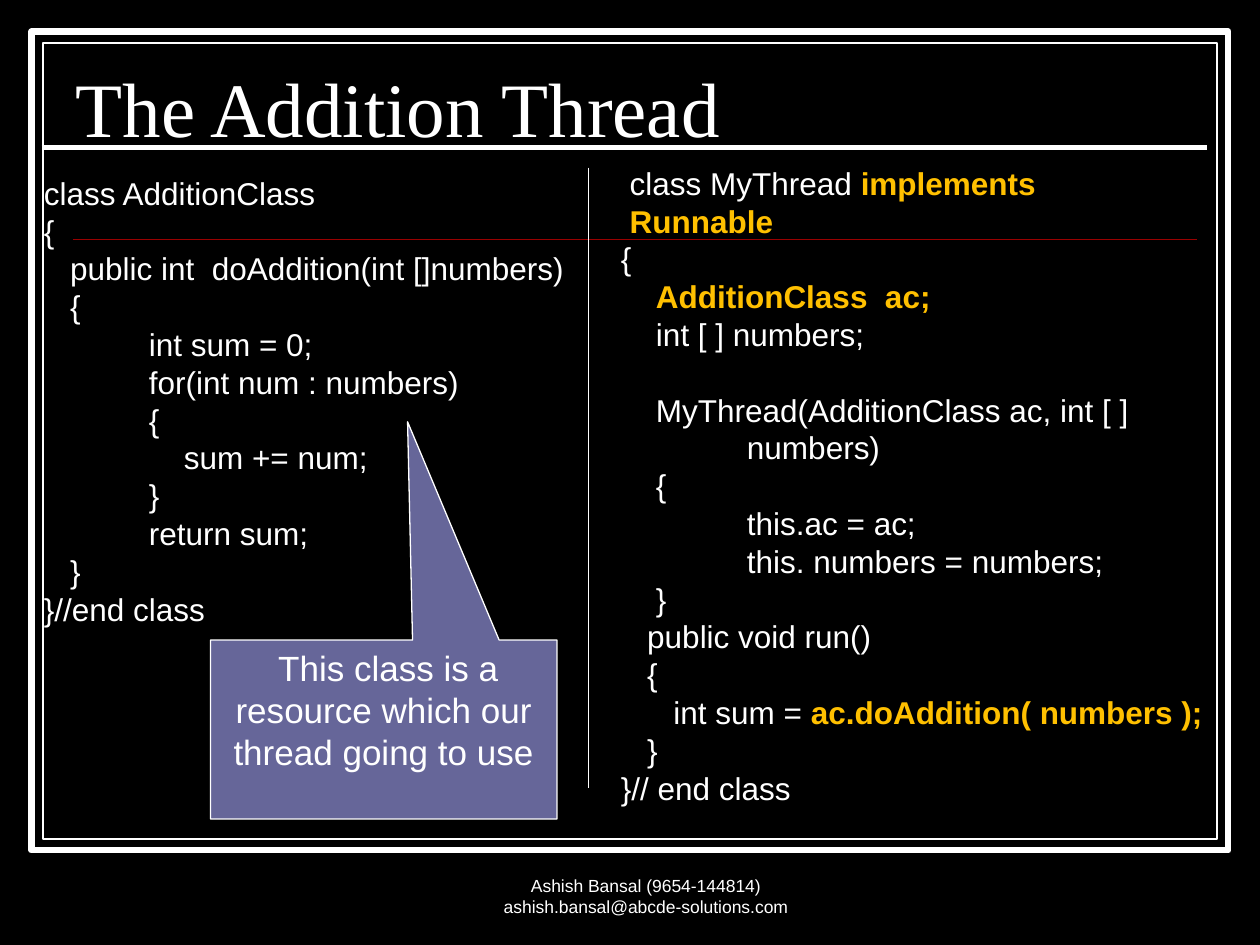
from pptx import Presentation
from pptx.dml.color import RGBColor
from pptx.enum.shapes import MSO_CONNECTOR, MSO_SHAPE
from pptx.enum.text import MSO_ANCHOR, MSO_AUTO_SIZE, PP_ALIGN
from pptx.util import Inches, Pt
from lxml import etree

BLACK = RGBColor(0, 0, 0)
WHITE = RGBColor(255, 255, 255)
RED = RGBColor(0x99, 0, 0)
GOLD = RGBColor(0xFF, 0xC0, 0)
BLUE = RGBColor(0x66, 0x66, 0x99)
RECT, WEDGE = MSO_SHAPE.RECTANGLE, MSO_SHAPE.RECTANGULAR_CALLOUT
LINE = MSO_CONNECTOR.STRAIGHT
TOP, BOTTOM = MSO_ANCHOR.TOP, MSO_ANCHOR.BOTTOM
LEFT, CENTER = PP_ALIGN.LEFT, PP_ALIGN.CENTER
FIXED = MSO_AUTO_SIZE.NONE
DRAW = "{http://schemas.openxmlformats.org/drawingml/2006/main}"
SPACE, TAB = 5, 72

LEFT_CODE = [
    (0, "class AdditionClass"),
    (0, "{"),
    (3, "public int  doAddition(int []numbers)"),
    (3, "{"),
    (12, "int sum = 0;"),
    (12, "for(int num : numbers)"),
    (12, "{"),
    (16, "sum += num;"),
    (12, "}"),
    (12, "return sum;"),
    (3, "}"),
    (0, "}//end class"),
]
STEP = TAB / SPACE
RIGHT_CODE = [
    (1, "class MyThread ", "implements"),
    (1, "", "Runnable"),
    (0, "{"),
    (4, "", "AdditionClass  ac;"),
    (4, "int [ ] numbers;"),
    (4, "MyThread(AdditionClass ac, int [ ]"),
    (STEP, "numbers)"),
    (4, "{"),
    (STEP, "this.ac = ac;"),
    (STEP, "this. numbers = numbers;"),
    (4, "}"),
    (3, "public void run()"),
    (3, "{"),
    (6, "int sum = ", "ac.doAddition( numbers );"),
    (3, "}"),
    (0, "}// end class"),
]
GAP_ROW = 5


def style(para, size, face="Arial", align=LEFT):
    para.alignment = align
    font = para.font
    font.size, font.name = Pt(size), face
    font.color.rgb = WHITE


def panel(slide, kind, box, fill, width):
    shape = slide.shapes.add_shape(kind, *map(Inches, box))
    shape.shadow.inherit = False
    shape.fill.solid()
    shape.fill.fore_color.rgb = fill
    shape.line.color.rgb = WHITE
    shape.line.width = Pt(width)
    return shape


def rule(slide, start, end, color, width):
    ends = map(Inches, (*start, *end))
    line = slide.shapes.add_connector(LINE, *ends)
    line.line.color.rgb = color
    line.line.width = Pt(width)
    etree.SubElement(line._element.spPr, DRAW + "effectLst")


def frame(slide, box):
    x, y, w, h = box
    inset = 0.09
    panel(slide, RECT, box, BLACK, 3.5)
    inner = (x + inset, y + inset, w - 2 * inset, h - 2 * inset)
    panel(slide, RECT, inner, BLACK, 0.75)
    rule(slide, (x + 0.33, y + 1.65), (x + w - 0.25, y + 1.65), RED, 1)


def heading(slide, box, text):
    title = slide.shapes.title
    slide.shapes._spTree.append(title._element)
    title.left, title.top, title.width, title.height = map(Inches, box)
    body = title.text_frame
    body.text = text
    body.auto_size = FIXED
    body.vertical_anchor = BOTTOM
    para = body.paragraphs[0]
    para.line_spacing = 0.8
    style(para, 44, "Times New Roman")


def code(slide, box, rows, gap=None):
    body = slide.shapes.add_textbox(*map(Inches, box)).text_frame
    body.word_wrap = True
    for i, (indent, plain, *bold) in enumerate(rows):
        para = body.add_paragraph() if i else body.paragraphs[0]
        style(para, 18)
        para._p.get_or_add_pPr().set("marL", str(Pt(indent * SPACE)))
        if i == gap:
            para.space_before = Pt(21.6)
        if plain:
            para.add_run().text = plain
        for part in bold:
            run = para.add_run()
            run.text = part
            run.font.bold = True
            run.font.color.rgb = GOLD


def callout(slide, box, tip, text):
    shape = panel(slide, WEDGE, box, BLUE, 0.75)
    for i, value in enumerate(tip):
        shape.adjustments[i] = value
    body = shape.text_frame
    body.word_wrap = True
    body.vertical_anchor = TOP
    body.text = text
    style(body.paragraphs[0], 20, align=CENTER)


def footer(slide, box, text):
    body = slide.shapes.add_textbox(*map(Inches, box)).text_frame
    body.word_wrap = True
    body.vertical_anchor = BOTTOM
    body.text = text
    style(body.paragraphs[0], 10, align=CENTER)


def build():
    deck = Presentation()
    deck.slide_width, deck.slide_height = Inches(10), Inches(7.5)
    slide = deck.slides.add_slide(deck.slide_layouts[5])
    back = slide.background.fill
    back.solid()
    back.fore_color.rgb = BLACK
    frame(slide, (0.25, 0.25, 9.5, 6.5))
    heading(slide, (0.5, 0.33, 8.92, 0.93), "The Addition Thread")
    footer(slide, (3.54, 6.83, 3.17, 0.5),
           "Ashish Bansal (9654-144814) ashish.bansal@abcde-solutions.com")
    code(slide, (0.25, 1.33, 4.37, 3.74), LEFT_CODE)
    code(slide, (4.83, 1.25, 4.92, 5.25), RIGHT_CODE, GAP_ROW)
    rule(slide, (4.67, 1.33), (4.67, 6.25), WHITE, 0.75)
    callout(slide, (1.67, 5.08, 2.75, 1.42), (0.069, -1.72),
            " This class is a resource which our thread going to use")
    rule(slide, (0.33, 1.17), (9.58, 1.17), WHITE, 3)
    deck.save("out.pptx")


build()
